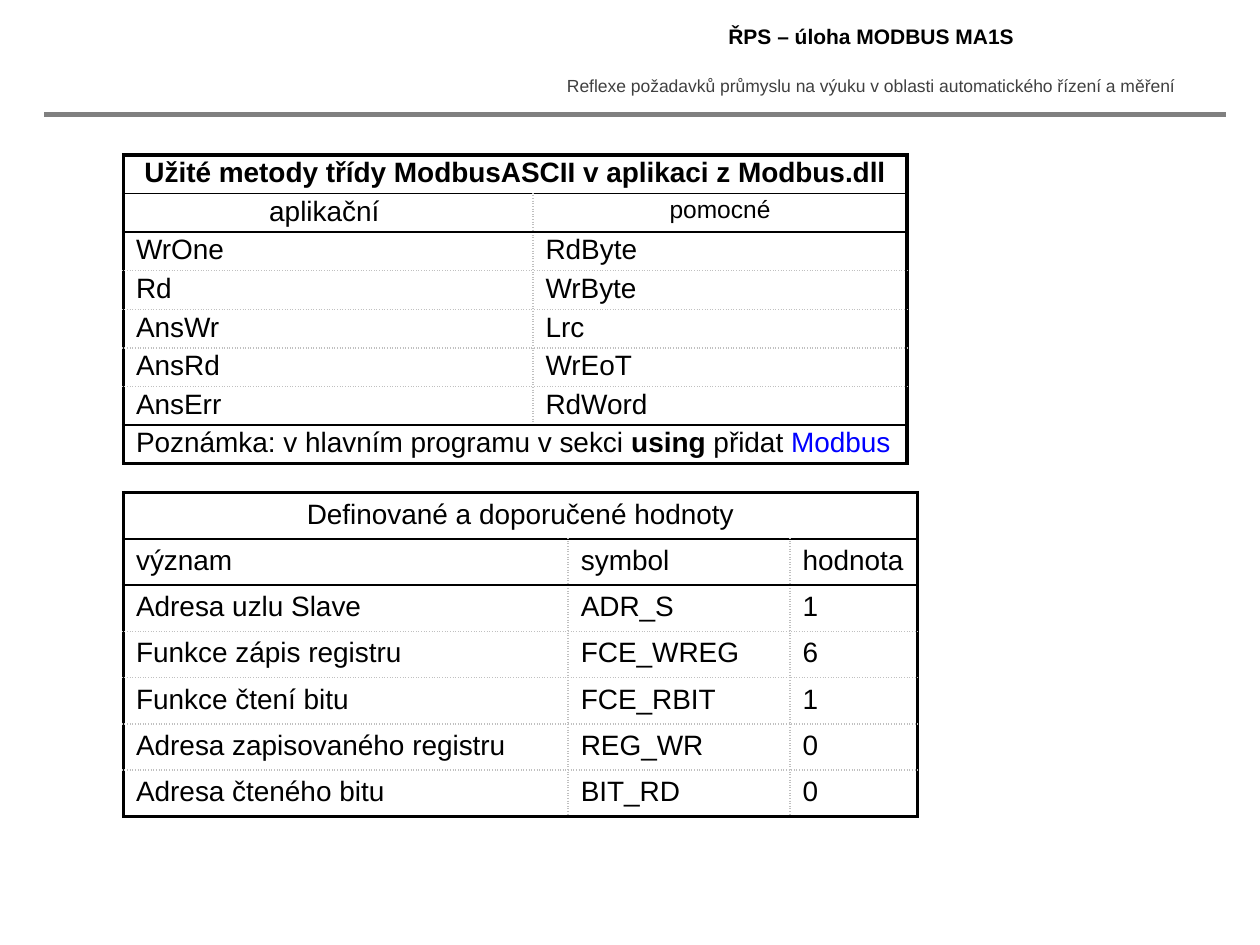
from dataclasses import dataclass

from lxml.etree import SubElement
from pptx import Presentation
from pptx.dml.color import RGBColor
from pptx.enum.shapes import MSO_CONNECTOR as Connector
from pptx.enum.text import PP_ALIGN as Align
from pptx.oxml.ns import qn
from pptx.util import Inches, Pt


@dataclass(frozen=True)
class Theme:
    font: str = "Arial"
    text: str = "000000"
    muted: str = "404040"
    accent: str = "0000FF"
    rule: str = "808080"
    dotted: str = "C0C0C0"
    title_size: float = 12
    subtitle_size: float = 10
    body_size: float = 16
    small_size: float = 14
    outer_width: float = 2.25
    inner_width: float = 1


THEME = Theme()


@dataclass(frozen=True)
class Run:
    text: str
    size: float = THEME.body_size
    bold: bool = False
    color: str = THEME.text


@dataclass(frozen=True)
class Heading:
    run: Run
    left: float
    top: float
    width: float
    height: float
    space_before: bool


@dataclass(frozen=True)
class Grid:
    """A row with a single entry spans the whole table width."""
    left: float
    top: float
    columns: tuple[float, ...]
    row_height: float
    margin: float
    ruled_rows: set[int]  # rows closed by a solid line
    centered_rows: set[int]
    rows: list[tuple]


HEADINGS = [
    Heading(Run("Reflexe požadavků průmyslu na výuku v oblasti automatického řízení a měření",
                THEME.subtitle_size, color=THEME.muted), 4.3, 0.55, 5.22, 0.27, False),
    Heading(Run("ŘPS – úloha MODBUS MA1S", THEME.title_size, True),
            4.3, 0.14, 5.23, 0.31, True),
]

METHODS = Grid(
    0.98, 1.23, (3.25, 2.97), 0.306, 0.02, {0, 1, 6}, {0, 1},
    [
        (Run("Užité metody třídy ModbusASCII v aplikaci z Modbus.dll", bold=True),),
        ("aplikační ", Run("pomocné", THEME.small_size)),
        ("WrOne", "RdByte"),
        ("Rd", "WrByte"),
        ("AnsWr", "Lrc"),
        ("AnsRd", "WrEoT"),
        ("AnsErr", "RdWord"),
        ([Run("Poznámka: v hlavním programu v sekci "), Run("using ", bold=True),
          Run("přidat "), Run("Modbus", color=THEME.accent)],),
    ],
)

VALUES = Grid(
    0.98, 3.91, (3.53, 1.76, 1.01), 0.367, 0.05, {0, 1}, {0},
    [
        ("Definované a doporučené hodnoty",),
        ("význam", "symbol", "hodnota"),
        ("Adresa uzlu Slave", "ADR_S", "1"),
        ("Funkce zápis registru", "FCE_WREG", "6"),
        ("Funkce čtení bitu", "FCE_RBIT", "1"),
        ("Adresa zapisovaného registru", "REG_WR", "0"),
        ("Adresa čteného bitu", "BIT_RD", "0"),
    ],
)


def write_paragraph(paragraph, content, alignment, space_before: bool = True) -> None:
    if isinstance(content, str):
        content = Run(content)
    for item in content if isinstance(content, list) else [content]:
        run = paragraph.add_run()
        run.text = item.text
        run.font.name = THEME.font
        run.font.size = Pt(item.size)
        run.font.bold = item.bold
        run.font.color.rgb = RGBColor.from_string(item.color)
    paragraph.alignment = alignment
    if space_before:
        # Relative spacing: 20 % of the line
        spacing = SubElement(paragraph._p.get_or_add_pPr(), qn("a:spcBef"))
        SubElement(spacing, qn("a:spcPct"), val="20000")


def add_heading(slide, heading: Heading) -> None:
    box = slide.shapes.add_textbox(Inches(heading.left), Inches(heading.top),
                                   Inches(heading.width), Inches(heading.height))
    box.text_frame.word_wrap = True
    write_paragraph(box.text_frame.paragraphs[0], heading.run, Align.CENTER,
                    heading.space_before)


def add_border(cell, side: str, color: str, width: float, dash: str) -> None:
    line = SubElement(cell._tc.get_or_add_tcPr(), qn(f"a:ln{side}"), w=str(Pt(width)))
    fill = SubElement(line, qn("a:solidFill"))
    SubElement(fill, qn("a:srgbClr"), val=color)
    SubElement(line, qn("a:prstDash"), val=dash)


def add_grid(slide, grid: Grid) -> None:
    row_count, column_count = len(grid.rows), len(grid.columns)
    table = slide.shapes.add_table(
        row_count, column_count, Inches(grid.left), Inches(grid.top),
        Inches(sum(grid.columns)), Inches(grid.row_height * row_count)).table
    table.first_row = table.horz_banding = False
    for column, width in zip(table.columns, grid.columns):
        column.width = Inches(width)

    outer = (THEME.text, THEME.outer_width, "solid")
    solid = (THEME.text, THEME.inner_width, "solid")
    dotted = (THEME.dotted, THEME.inner_width, "sysDot")

    for row, entries in enumerate(grid.rows):
        table.rows[row].height = Inches(grid.row_height)
        spans = len(entries) == 1
        if spans:
            table.cell(row, 0).merge(table.cell(row, column_count - 1))
        above = outer if row == 0 else solid if row - 1 in grid.ruled_rows else dotted
        below = (outer if row == row_count - 1
                 else solid if row in grid.ruled_rows else dotted)
        for column in range(column_count):
            cell = table.cell(row, column)
            cell.margin_top = cell.margin_bottom = Inches(grid.margin)
            add_border(cell, "L", *(outer if spans or column == 0 else dotted))
            add_border(cell, "R", *(outer if spans or column == column_count - 1 else dotted))
            add_border(cell, "T", *above)
            add_border(cell, "B", *below)
            cell.fill.background()
            if column < len(entries):
                alignment = Align.CENTER if row in grid.centered_rows else Align.LEFT
                write_paragraph(cell.text_frame.paragraphs[0], entries[column], alignment)


def add_rule(slide) -> None:
    rule = slide.shapes.add_connector(Connector.STRAIGHT, Inches(0.35), Inches(0.91),
                                      Inches(9.73), Inches(0.91))
    rule.line.color.rgb = RGBColor.from_string(THEME.rule)
    rule.line.width = Pt(3)
    SubElement(rule._element.spPr, qn("a:effectLst"))


def main() -> None:
    presentation = Presentation()
    presentation.slide_width, presentation.slide_height = Inches(10), Inches(7.5)
    slide = presentation.slides.add_slide(presentation.slide_layouts[6])

    # Header
    for heading in HEADINGS:
        add_heading(slide, heading)
    add_rule(slide)

    # Tables
    for grid in (METHODS, VALUES):
        add_grid(slide, grid)

    presentation.save("out.pptx")


if __name__ == "__main__":
    main()
